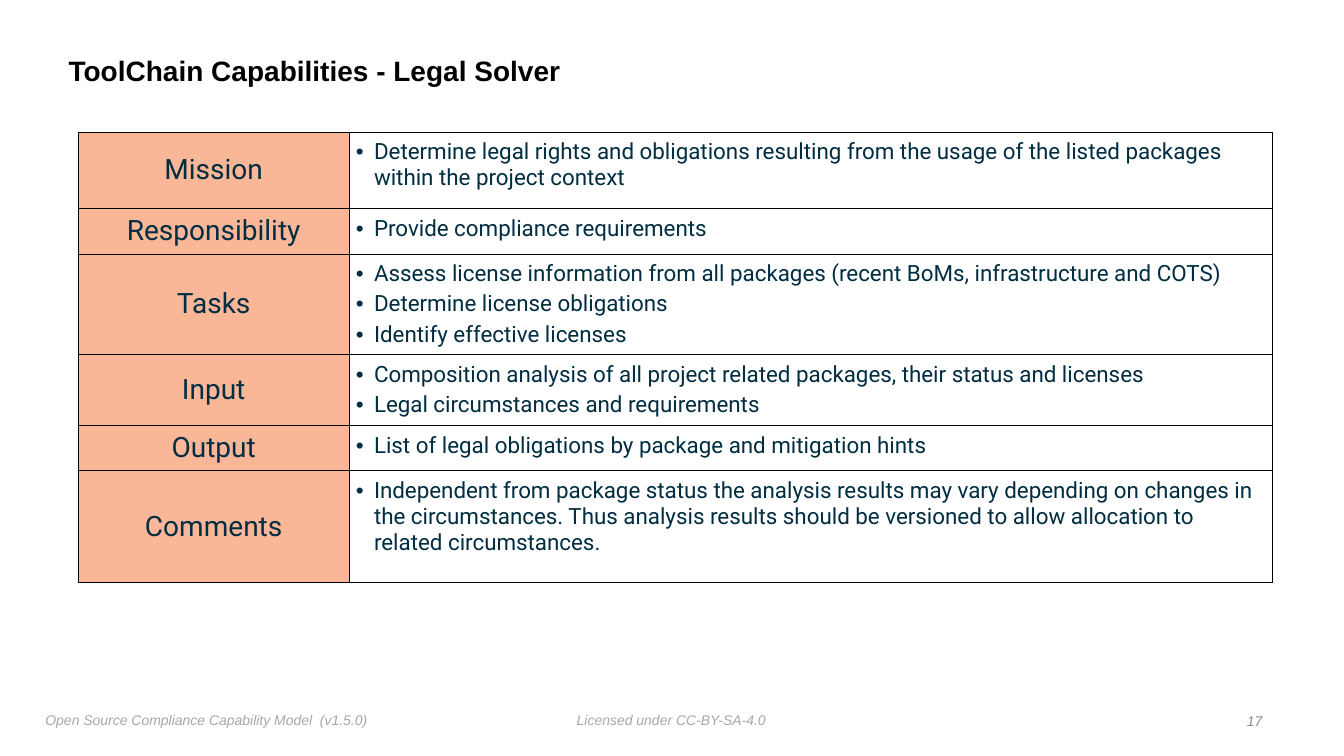
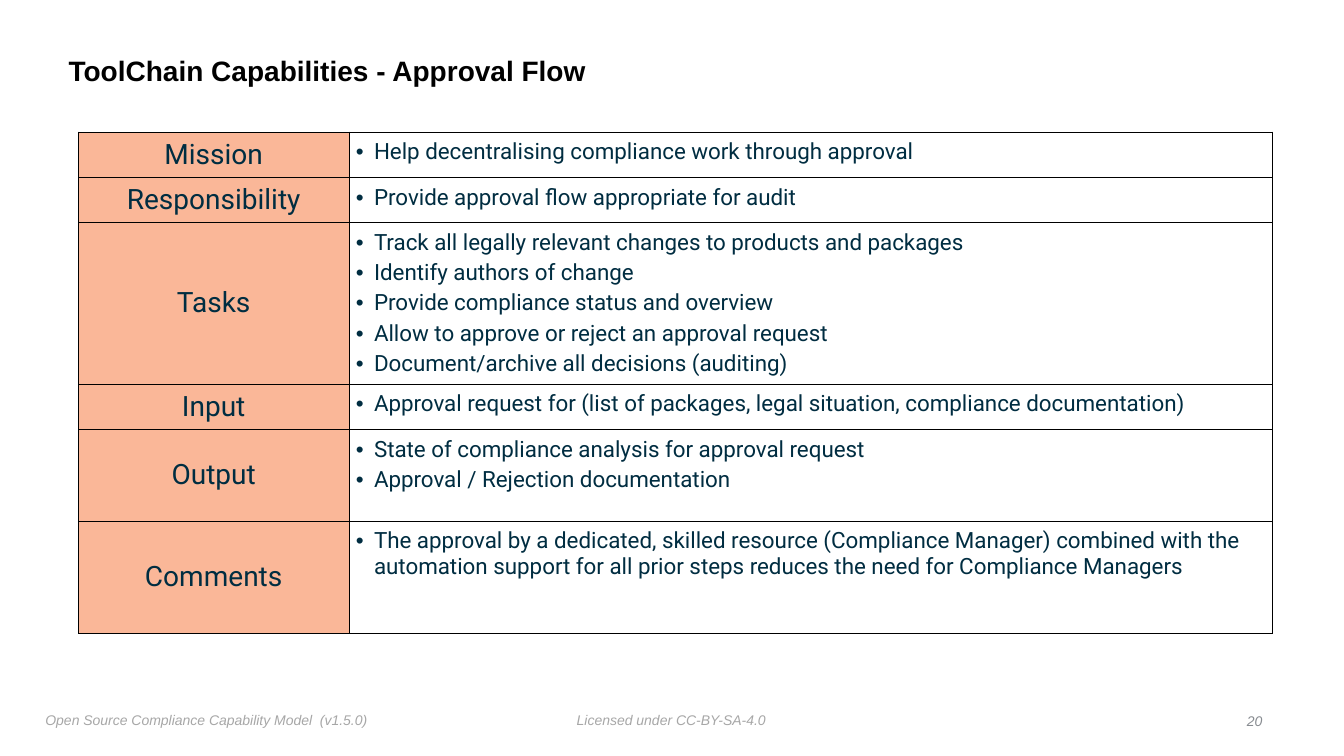
"""Build two capability slides, each with a titled table and a shared footer."""
import dataclasses
import typing

import lxml.etree
import pptx
import pptx.dml.color
import pptx.enum.text
import pptx.oxml.ns
import pptx.presentation
import pptx.shapes.autoshape
import pptx.slide
import pptx.table
import pptx.text.text
import pptx.util

Inches = pptx.util.Inches
Pt = pptx.util.Pt
RGBColor = pptx.dml.color.RGBColor
Align = pptx.enum.text.PP_ALIGN
Anchor = pptx.enum.text.MSO_ANCHOR
qualify = pptx.oxml.ns.qn

BLACK = RGBColor(0x00, 0x00, 0x00)
WHITE = RGBColor(0xFF, 0xFF, 0xFF)
NAVY = RGBColor(0x00, 0x2D, 0x41)
PEACH = RGBColor(0xFA, 0xB7, 0x98)
FOOTER_GREY = RGBColor(0xA7, 0xA7, 0xA7)
NUMBER_GREY = RGBColor(0x88, 0x8C, 0x91)

TITLE_FONT = "Arial"
TABLE_FONT = "Roboto"
COLUMN_WIDTHS = (2.68, 9.16)
LABELS = ("Mission", "Responsibility", "Tasks", "Input", "Output", "Comments")
BULLET_INDENT = 0.18
TITLE_ONLY_LAYOUT = 5


@dataclasses.dataclass(frozen=True)
class Footer:
    """A small italic text at the bottom of a page."""

    text: str
    left: float
    top: float
    width: float
    height: float
    color: RGBColor = FOOTER_GREY
    align: Align = Align.LEFT
    anchor: Anchor = Anchor.TOP


@dataclasses.dataclass(frozen=True)
class Row:
    """The height and bullet items of one table row."""

    height: float
    items: tuple[str, ...]


@dataclasses.dataclass(frozen=True)
class Capability:
    """The content of one page, with rows in the order of LABELS."""

    name: str
    number: int
    rows: tuple[Row, ...]


FOOTERS = (
    Footer("Licensed under CC-BY-SA-4.0", 5.67, 7.01, 1.99, 0.25),
    Footer("Open Source Compliance Capability Model  (v1.5.0)", 0.4, 7.01, 3.32, 0.27),
)

CAPABILITIES = (
    Capability("Legal Solver", 17, (
        Row(0.76, ("Determine legal rights and obligations resulting from the usage of "
                   "the listed packages within the project context",)),
        Row(0.45, ("Provide compliance requirements",)),
        Row(1.0, (
            "Assess license information from all packages (recent BoMs, infrastructure and COTS)",
            "Determine license obligations",
            "Identify effective licenses",
        )),
        Row(0.7, (
            "Composition analysis of all project related packages, their status and licenses",
            "Legal circumstances and requirements",
        )),
        Row(0.45, ("List of legal obligations by package and mitigation hints",)),
        Row(1.11, ("Independent from package status the analysis results may vary depending on "
                   "changes in the circumstances. Thus analysis results should be versioned to "
                   "allow allocation to related circumstances.",)),
    )),
    Capability("Approval Flow", 20, (
        Row(0.45, ("Help decentralising compliance work through approval",)),
        Row(0.45, ("Provide approval flow appropriate for audit",)),
        Row(1.6, (
            "Track all legally relevant changes to products and packages",
            "Identify authors of change",
            "Provide compliance status and overview",
            "Allow to approve or reject an approval request",
            "Document/archive all decisions (auditing)",
        )),
        Row(0.45, ("Approval request for (list of packages, legal situation, "
                   "compliance documentation)",)),
        Row(0.91, (
            "State of compliance analysis for approval request",
            "Approval / Rejection documentation",
        )),
        Row(1.11, ("The approval by a dedicated, skilled resource (Compliance Manager) combined "
                   "with the automation support for all prior steps reduces the need for "
                   "Compliance Managers",)),
    )),
)


def add_bullet(para: typing.Any) -> None:
    """Give a paragraph a hanging round bullet."""
    properties = para._p.get_or_add_pPr()
    properties.set("marL", str(Inches(BULLET_INDENT)))
    properties.set("indent", str(-Inches(BULLET_INDENT)))
    lxml.etree.SubElement(properties, qualify("a:buFont"), typeface="Arial")
    lxml.etree.SubElement(properties, qualify("a:buChar"), char="•")


def write_text(
    frame: pptx.text.text.TextFrame,
    *lines: str,
    font: str = TITLE_FONT,
    size: float = 10,
    color: RGBColor = BLACK,
    bold: bool = False,
    italic: bool = False,
    align: Align = Align.LEFT,
    bullet: bool = False,
    gap: float = 0,
    line_spacing: float = 1.0,
) -> None:
    """Write one formatted paragraph per line into a text frame."""
    for index, line in enumerate(lines):
        para = frame.add_paragraph() if index else frame.paragraphs[0]
        if bullet:
            add_bullet(para)
        para.alignment = align
        para.line_spacing = line_spacing
        para.space_before = Pt(gap if index else 0)
        span = para.add_run()
        span.text = line
        span.font.name = font
        span.font.size = Pt(size)
        span.font.bold = bold
        span.font.italic = italic
        span.font.color.rgb = color


def set_margins(holder: typing.Any, margin: float) -> None:
    """Set equal margins on a text frame or a table cell."""
    for side in ("left", "right", "top", "bottom"):
        setattr(holder, f"margin_{side}", Inches(margin))


def add_title(page: pptx.slide.Slide, text: str) -> None:
    """Place and fill the title placeholder."""
    title = page.shapes.title
    title.left, title.top = Inches(0.63), Inches(0.39)
    title.width, title.height = Inches(10.75), Inches(0.65)
    frame = title.text_frame
    frame.auto_size = pptx.enum.text.MSO_AUTO_SIZE.NONE
    frame.vertical_anchor = Anchor.MIDDLE
    set_margins(frame, 0.05)
    write_text(frame, text, size=20, bold=True, line_spacing=0.9)


def add_footer(page: pptx.slide.Slide, footer: Footer) -> None:
    """Draw one footer text."""
    box = page.shapes.add_textbox(
        Inches(footer.left), Inches(footer.top), Inches(footer.width), Inches(footer.height)
    )
    frame = box.text_frame
    frame.word_wrap = False
    frame.vertical_anchor = footer.anchor
    set_margins(frame, 0.05)
    write_text(frame, footer.text, color=footer.color, italic=True, align=footer.align)


def style_cell(
    cell: typing.Any, fill: RGBColor, margin: float, anchor: Anchor
) -> None:
    """Set the fill, margins, anchor and thin black borders of a cell."""
    cell.fill.solid()
    cell.fill.fore_color.rgb = fill
    cell.vertical_anchor = anchor
    set_margins(cell, margin)
    properties = cell._tc.get_or_add_tcPr()
    for index, side in enumerate(("lnL", "lnR", "lnT", "lnB")):
        border = lxml.etree.Element(qualify(f"a:{side}"), w=str(Pt(0.5)))
        solid = lxml.etree.SubElement(border, qualify("a:solidFill"))
        lxml.etree.SubElement(solid, qualify("a:srgbClr"), val=str(BLACK))
        properties.insert(index, border)


def add_capability_table(page: pptx.slide.Slide, rows: tuple[Row, ...]) -> None:
    """Draw the table of labels and bullet items."""
    table = page.shapes.add_table(
        len(rows), len(COLUMN_WIDTHS), Inches(0.78), Inches(1.31),
        Inches(sum(COLUMN_WIDTHS)), Inches(sum(row.height for row in rows)),
    ).table
    table.first_row = False
    table.horz_banding = False
    for column, width in zip(table.columns, COLUMN_WIDTHS):
        column.width = Inches(width)
    for index, (label, row) in enumerate(zip(LABELS, rows)):
        table.rows[index].height = Inches(row.height)
        label_cell, items_cell = table.cell(index, 0), table.cell(index, 1)
        style_cell(label_cell, PEACH, 0, Anchor.MIDDLE)
        write_text(label_cell.text_frame, label, font=TABLE_FONT, size=20,
                   color=NAVY, align=Align.CENTER)
        style_cell(items_cell, WHITE, 0.07, Anchor.TOP)
        write_text(items_cell.text_frame, *row.items, font=TABLE_FONT, size=16,
                   color=NAVY, bullet=True, gap=3)


def add_capability_page(deck: pptx.presentation.Presentation, capability: Capability) -> None:
    """Add one complete capability page."""
    page = deck.slides.add_slide(deck.slide_layouts[TITLE_ONLY_LAYOUT])
    add_title(page, f"ToolChain Capabilities - {capability.name}")
    add_capability_table(page, capability.rows)
    number = Footer(str(capability.number), 12.3, 7.03, 0.27, 0.25,
                    NUMBER_GREY, Align.RIGHT, Anchor.MIDDLE)
    for footer in (*FOOTERS, number):
        add_footer(page, footer)


def main() -> None:
    """Build and save the deck."""
    deck = pptx.Presentation()
    deck.slide_width, deck.slide_height = Inches(13.33), Inches(7.5)
    for capability in CAPABILITIES:
        add_capability_page(deck, capability)
    deck.save("out.pptx")


if __name__ == "__main__":
    main()
